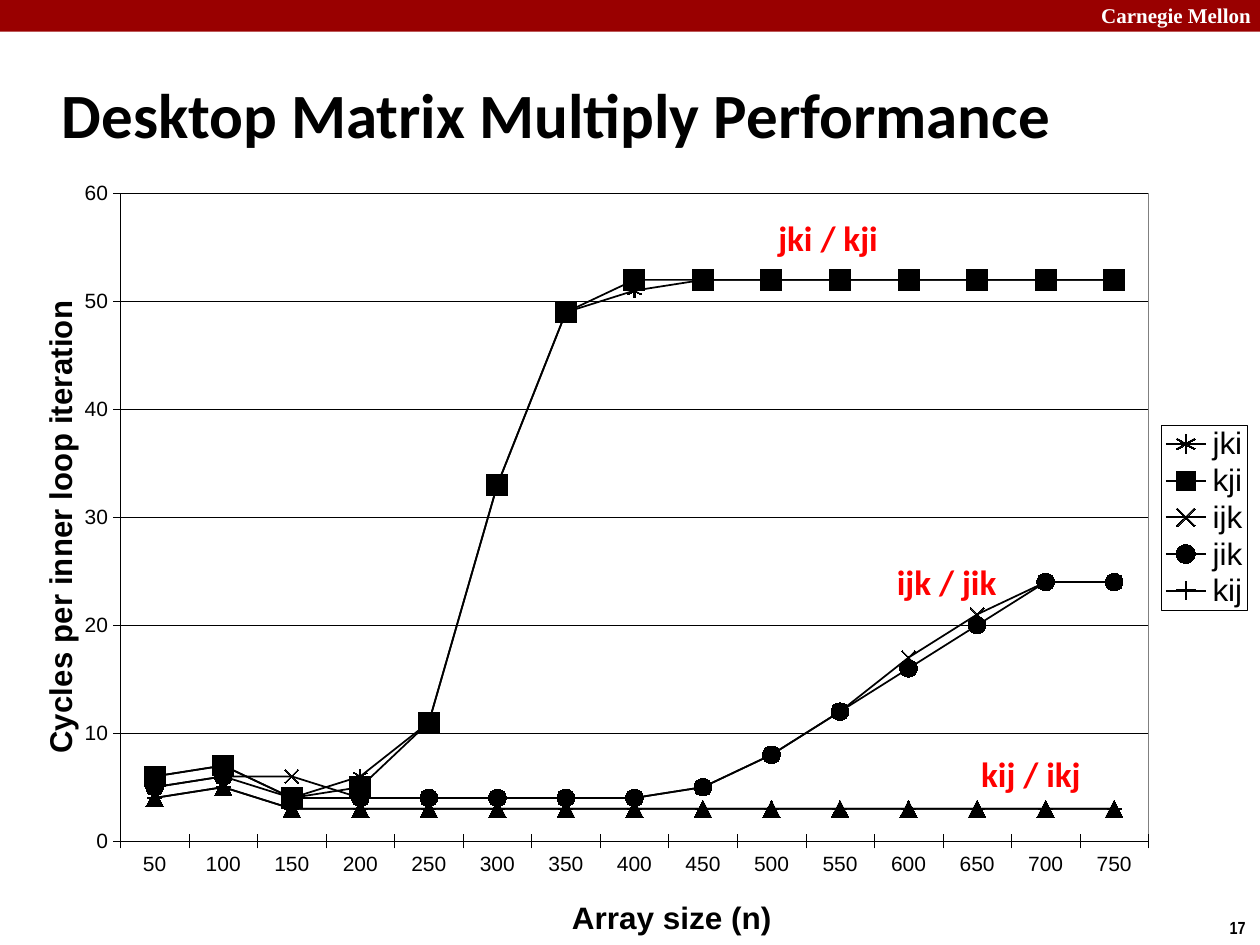
from pptx import Presentation
from pptx.chart.data import CategoryChartData
from pptx.dml.color import RGBColor
from pptx.enum.chart import XL_CHART_TYPE, XL_LEGEND_POSITION, XL_MARKER_STYLE, XL_TICK_MARK
from pptx.enum.shapes import MSO_SHAPE
from pptx.enum.text import MSO_ANCHOR, MSO_AUTO_SIZE, PP_ALIGN
from pptx.oxml import parse_xml
from pptx.oxml.ns import nsdecls, qn
from pptx.util import Cm, Pt

LINE_MARKERS = XL_CHART_TYPE.LINE_MARKERS
RIGHT = XL_LEGEND_POSITION.RIGHT
CROSS = XL_TICK_MARK.CROSS
RECTANGLE = MSO_SHAPE.RECTANGLE
MIDDLE = MSO_ANCHOR.MIDDLE
LEFT = PP_ALIGN.LEFT
GROW, FIXED = MSO_AUTO_SIZE.SHAPE_TO_FIT_TEXT, MSO_AUTO_SIZE.NONE
STAR, SQUARE, X = XL_MARKER_STYLE.STAR, XL_MARKER_STYLE.SQUARE, XL_MARKER_STYLE.X
CIRCLE, PLUS, TRIANGLE = XL_MARKER_STYLE.CIRCLE, XL_MARKER_STYLE.PLUS, XL_MARKER_STYLE.TRIANGLE
STROKE_MARKERS = {STAR, X, PLUS}

BLACK, WHITE, GREY, RED, DARK_RED = "000000", "FFFFFF", "808080", "FF0000", "990000"

ARRAY_SIZES = [str(size) for size in range(50, 751, 50)]
CYCLES = [
    ("jki", STAR, 8, [6, 7, 4, 6, 11, 33, 49, 51] + [52] * 7),
    ("kji", SQUARE, 12, [6, 7, 4, 5, 11, 33, 49] + [52] * 8),
    ("ijk", X, 8, [5, 6, 6, 4, 4, 4, 4, 4, 5, 8, 12, 17, 21, 24, 24]),
    ("jik", CIRCLE, 10, [5, 6, 4, 4, 4, 4, 4, 4, 5, 8, 12, 16, 20, 24, 24]),
    ("kij", PLUS, 8, [4, 5] + [3] * 13),
    ("ikj", TRIANGLE, 10, [4, 5] + [3] * 13),
]
CURVE_LABELS = [
    ("jki / kji", 15.44, 4.24),
    ("ijk / jik", 17.83, 11.18),
    ("kij / ikj", 19.53, 15.04),
]


def color(hex_string):
    return RGBColor.from_string(hex_string)


def style_font(font, size, name="Arial", fill=BLACK, bold=False):
    font.size, font.name, font.bold = Pt(size), name, bold
    font.color.rgb = color(fill)


def write(frame, text, **style):
    para = frame.paragraphs[0]
    span = para.add_run()
    span.text = text
    style_font(span.font, **style)
    return para


def place(shape, left, top, width, height):
    shape.left, shape.top = Cm(left), Cm(top)
    shape.width, shape.height = Cm(width), Cm(height)


def set_layout(parent, x, y, width=None, height=None, inner=False):
    """Put a chart part at fractions of the chart's size."""
    for old in parent.findall(qn("c:layout")):
        parent.remove(old)
    target = '<c:layoutTarget val="inner"/>' if inner else ""
    modes = '<c:xMode val="edge"/><c:yMode val="edge"/>'
    sizes = zip("xywh", (x, y, width, height))
    values = "".join(f'<c:{key} val="{value}"/>' for key, value in sizes if value is not None)
    layout = parse_xml(f'<c:layout {nsdecls("c")}><c:manualLayout>{target}{modes}{values}'
                       "</c:manualLayout></c:layout>")
    overlay = parent.find(qn("c:overlay"))
    if overlay is None:
        parent.insert(0, layout)
    else:
        overlay.addprevious(layout)


def frame_properties(line):
    return parse_xml(
        f'<c:spPr {nsdecls("c", "a")}><a:solidFill><a:srgbClr val="{WHITE}"/></a:solidFill>'
        f'<a:ln w="3175"><a:solidFill><a:srgbClr val="{line}"/></a:solidFill></a:ln></c:spPr>')


class SlideBuilder:
    def __init__(self, slide):
        self.slide = slide
        self.face = "Calibri"

    def title(self, text, *box):
        title = self.slide.shapes.title
        place(title, *box)
        frame = title.text_frame
        frame.vertical_anchor, frame.auto_size = MIDDLE, FIXED
        para = write(frame, text, size=36, name=self.face, bold=True)
        para.alignment = LEFT
        properties = para._p.get_or_add_pPr()
        properties.set("marL", str(Cm(0.33)))
        properties.set("indent", str(-Cm(0.33)))

    def bar(self, fill, *box):
        bar = self.slide.shapes.add_shape(RECTANGLE, *map(Cm, box))
        bar.shadow.inherit = False
        bar.fill.solid()
        bar.fill.fore_color.rgb = color(fill)
        bar.line.fill.background()

    def label(self, text, *box, wrap=False, **style):
        frame = self.slide.shapes.add_textbox(*map(Cm, box)).text_frame
        frame.word_wrap, frame.auto_size = wrap, GROW
        write(frame, text, **{"name": self.face, "bold": True, **style})

    def line_chart(self, categories, rows, *box):
        data = CategoryChartData()
        data.categories = categories
        for name, _, _, values in rows:
            data.add_series(name, values)
        chart = self.slide.shapes.add_chart(LINE_MARKERS, *map(Cm, box), data).chart
        chart.has_title = False
        style_font(chart.font, 10)
        plot = chart.plots[0]
        plot.vary_by_categories = False
        for series, (_, marker, size, _) in zip(plot.series, rows):
            self.style_series(series, marker, size)
        self.axis(chart.category_axis, "Array size (n)", 0.44, 0.945)
        values = chart.value_axis
        self.axis(values, "Cycles per inner loop iteration", 0.01, 0.18)
        values.minimum_scale, values.maximum_scale, values.major_unit = 0, 60, 10
        values.has_major_gridlines = True
        self.thin_line(values.major_gridlines.format.line)
        plot_area = chart.element.xpath("c:chart/c:plotArea")[0]
        set_layout(plot_area, 0.08, 0.04, 0.83, 0.84, inner=True)
        plot_area.append(frame_properties(GREY))
        self.legend(chart, hidden=len(rows) - 1)

    def style_series(self, series, marker, size):
        series.smooth = False
        series.format.line.width = Pt(1)
        series.format.line.color.rgb = color(BLACK)
        series.marker.style, series.marker.size = marker, size
        look = series.marker.format
        look.line.color.rgb = color(BLACK)
        if marker in STROKE_MARKERS:
            look.fill.background()
        else:
            look.fill.solid()
            look.fill.fore_color.rgb = color(BLACK)

    def thin_line(self, line):
        line.width = Pt(0.25)
        line.color.rgb = color(BLACK)

    def axis(self, axis, title, x, y):
        axis.major_tick_mark = CROSS
        style_font(axis.tick_labels.font, 12)
        self.thin_line(axis.format.line)
        write(axis.axis_title.text_frame, title, size=18, bold=True)
        set_layout(axis.axis_title._element, x, y)

    def legend(self, chart, hidden):
        """Add a framed legend that leaves out one series."""
        chart.has_legend = True
        legend = chart.legend
        legend.position, legend.include_in_layout = RIGHT, False
        style_font(legend.font, 18)
        element = chart.element.xpath("c:chart/c:legend")[0]
        set_layout(element, 0.92, 0.34, 0.07, 0.24)
        element.find(qn("c:legendPos")).addnext(parse_xml(
            f'<c:legendEntry {nsdecls("c")}><c:idx val="{hidden}"/><c:delete val="1"/></c:legendEntry>'))
        element.find(qn("c:overlay")).addnext(frame_properties(BLACK))


def main():
    deck = Presentation()
    deck.slide_width, deck.slide_height = Cm(25.4), Cm(19.05)
    page = SlideBuilder(deck.slides.add_slide(deck.slide_layouts[5]))
    page.bar(DARK_RED, 0, 0, 25.4, 0.64)
    page.label("Carnegie Mellon", 21.95, -0.08, 3.63, 0.76, wrap=True,
               size=12, name="Times New Roman", fill=WHITE)
    page.label("17", 24.54, 18.36, 0.86, 0.69, size=10, name="Arial Narrow")
    page.title("Desktop Matrix Multiply Performance", 0.99, 1.22, 21.08, 2.11)
    page.line_chart(ARRAY_SIZES, CYCLES, 0.43, 3.28, 24.97, 15.77)
    for text, left, top in CURVE_LABELS:
        page.label(text, left, top, 2.55, 1.12, size=20, fill=RED)
    deck.save("out.pptx")


if __name__ == "__main__":
    main()
